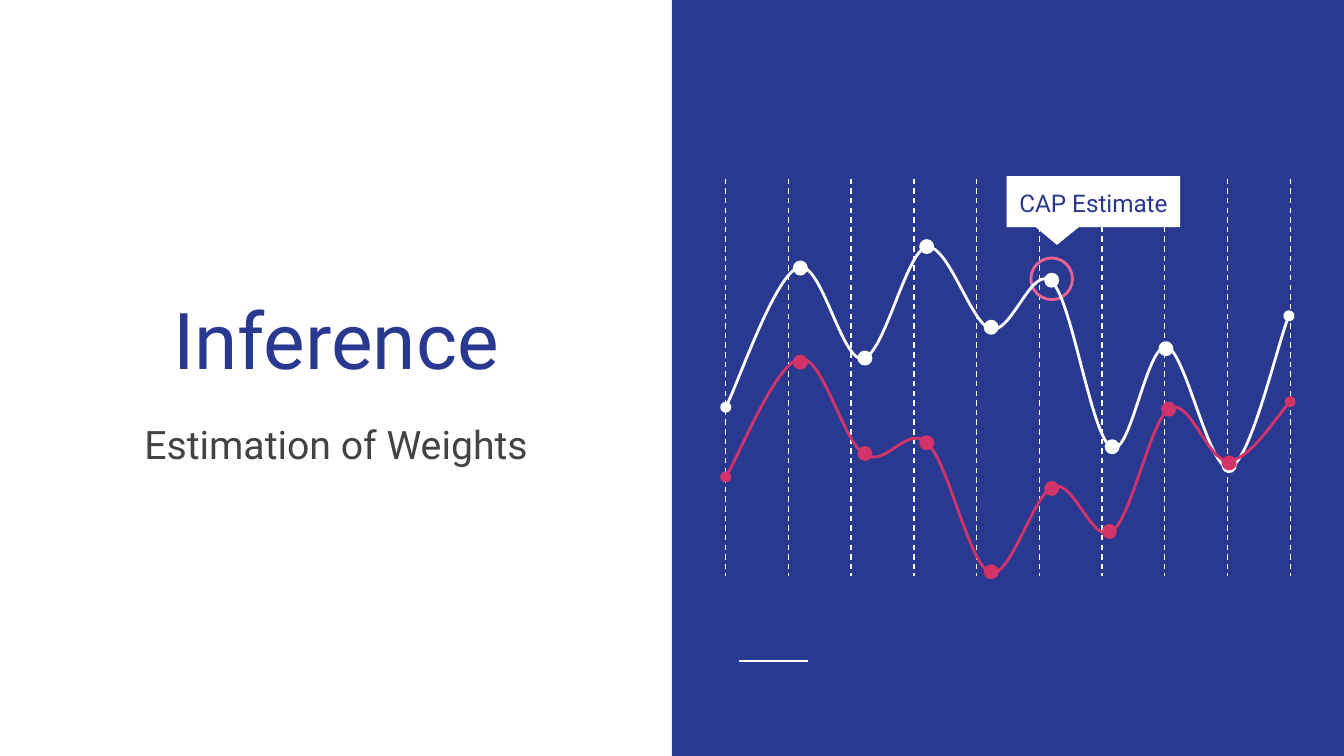
from dataclasses import dataclass

from lxml import etree
from pptx import Presentation
from pptx import util as u
from pptx.dml.color import RGBColor
from pptx.enum import dml, shapes, text
from pptx.oxml.ns import qn

WHITE = RGBColor(0xFF, 0xFF, 0xFF)
NAVY = RGBColor(0x2A, 0x39, 0x90)
RED = RGBColor(0xD2, 0x33, 0x69)
PINK = RGBColor(0xF0, 0x62, 0x92)
GREY = RGBColor(0x43, 0x43, 0x43)
FONT = "Roboto"
DOT = 0.09
LEFT, RIGHT, TOP, BASE, COUNT = 5.4, 9.6, 1.33, 4.29, 10

Point = tuple[float, float]
SHAPE = shapes.MSO_SHAPE
ANCHOR = text.MSO_ANCHOR


@dataclass
class Curve:
    """A start point, Bezier triples and the corners of the dots."""
    color: RGBColor
    start: Point
    bends: list[tuple[Point, Point, Point]]
    dots: list[Point]


@dataclass
class Label:
    words: str
    box: tuple[float, float, float, float]
    size: int
    color: RGBColor
    anchor: text.MSO_ANCHOR
    space: float = 1.0


UPPER = Curve(WHITE, (5.4, 3.03), [
    ((5.49, 2.86), (5.77, 2.05), (5.94, 1.99)),
    ((6.11, 1.93), (6.26, 2.69), (6.42, 2.67)),
    ((6.58, 2.64), (6.74, 1.88), (6.89, 1.84)),
    ((7.05, 1.8), (7.22, 2.4), (7.37, 2.45)),
    ((7.53, 2.49), (7.68, 1.95), (7.83, 2.1)),
    ((7.98, 2.25), (8.12, 3.25), (8.27, 3.33)),
    ((8.41, 3.41), (8.53, 2.56), (8.68, 2.58)),
    ((8.82, 2.61), (9, 3.52), (9.15, 3.48)),
    ((9.3, 3.44), (9.51, 2.54), (9.59, 2.35)),
], [(5.91, 1.95), (6.39, 2.62), (6.85, 1.79), (7.33, 2.39),
    (7.78, 2.04), (8.23, 3.28), (8.63, 2.55), (9.1, 3.42)])

LOWER = Curve(RED, (5.4, 3.55), [
    ((5.49, 3.41), (5.78, 2.7), (5.95, 2.67)),
    ((6.12, 2.64), (6.27, 3.28), (6.43, 3.38)),
    ((6.59, 3.49), (6.75, 3.15), (6.9, 3.3)),
    ((7.06, 3.44), (7.21, 4.21), (7.37, 4.26)),
    ((7.52, 4.31), (7.69, 3.67), (7.84, 3.62)),
    ((7.99, 3.57), (8.13, 4.05), (8.27, 3.96)),
    ((8.42, 3.86), (8.56, 3.13), (8.7, 3.04)),
    ((8.85, 2.95), (8.99, 3.44), (9.14, 3.43)),
    ((9.29, 3.43), (9.52, 3.07), (9.6, 2.99)),
], [(5.91, 2.65), (6.39, 3.33), (6.85, 3.25), (7.33, 4.21),
    (7.78, 3.59), (8.21, 3.91), (8.65, 3), (9.1, 3.4)])

LABELS = [
    Label("Inference", (0.29, 1.26, 4.42, 1.71), 42, NAVY, ANCHOR.BOTTOM),
    Label("Estimation of Weights", (0.29, 3.03, 4.42, 1.39), 21, GREY, ANCHOR.TOP),
    Label("CAP Estimate", (7.44, 1.34, 1.39, 0.31), 13, NAVY, ANCHOR.MIDDLE, 1.15),
]


def inch(size: float) -> u.Length:
    return u.Cm(size * 2.54)


def paint(shape, fill: RGBColor | None, line: RGBColor | None) -> None:
    shape.shadow.inherit = False
    if fill is None:
        shape.fill.background()
    else:
        shape.fill.solid()
        shape.fill.fore_color.rgb = fill
    if line is None:
        shape.line.fill.background()
    else:
        shape.line.color.rgb = line
        shape.line.width = u.Pt(1.5)


def add_form(slide, kind, box, fill=None, line=None):
    form = slide.shapes.add_shape(kind, *map(inch, box))
    paint(form, fill, line)
    return form


def add_line(slide, start: Point, end: Point, width: float, dash: bool = False) -> None:
    line = slide.shapes.add_connector(
        shapes.MSO_CONNECTOR.STRAIGHT, *map(inch, start + end))
    line.line.color.rgb = WHITE
    line.line.width = u.Pt(width)
    if dash:
        line.line.dash_style = dml.MSO_LINE.DASH
    etree.SubElement(line.element.spPr, qn("a:effectLst"))


def add_curve(slide, curve: Curve) -> None:
    """Draw a smooth line with round ends, then its dots."""
    spots = [tuple(map(inch, spot)) for bend in curve.bends for spot in bend]
    pen = slide.shapes.build_freeform(*map(inch, curve.start))
    pen.add_line_segments(spots, close=False)
    form = pen.convert_to_shape()
    paint(form, None, curve.color)

    # Each run of three line steps becomes one Bezier step.
    track = form.element.find(".//" + qn("a:path"))
    steps = track.findall(qn("a:lnTo"))
    for i in range(0, len(steps), 3):
        bend = etree.SubElement(track, qn("a:cubicBezTo"))
        for step in steps[i:i + 3]:
            bend.append(step[0])
            track.remove(step)

    line = form.line._get_or_add_ln()
    for end in ("a:headEnd", "a:tailEnd"):
        etree.SubElement(line, qn(end), type="oval")
    for x, y in curve.dots:
        add_form(slide, SHAPE.OVAL, (x, y, DOT, DOT), curve.color, curve.color)


def add_label(slide, label: Label) -> None:
    frame = slide.shapes.add_textbox(*map(inch, label.box)).text_frame
    frame.word_wrap = True
    frame.vertical_anchor = label.anchor
    frame.margin_left = frame.margin_right = inch(0.1)
    frame.margin_top = frame.margin_bottom = inch(0.1)
    para = frame.paragraphs[0]
    para.alignment = text.PP_ALIGN.CENTER
    para.line_spacing = label.space
    run = para.add_run()
    run.text = label.words
    run.font.name = FONT
    run.font.size = u.Pt(label.size)
    run.font.color.rgb = label.color


def main() -> None:
    deck = Presentation()
    deck.slide_width, deck.slide_height = u.Cm(25.4), u.Cm(14.29)
    slide = deck.slides.add_slide(deck.slide_layouts[6])

    add_form(slide, SHAPE.RECTANGLE, (5, 0, 5, 5.625), NAVY)
    add_line(slide, (5.5, 4.92), (6.01, 4.92), 1.5)
    for i in range(COUNT):
        x = LEFT + i * (RIGHT - LEFT) / (COUNT - 1)
        add_line(slide, (x, TOP), (x, BASE), 0.75, dash=True)
    add_form(slide, SHAPE.OVAL, (7.67, 1.92, 0.31, 0.31), line=PINK)

    add_curve(slide, UPPER)
    flag = add_form(slide, SHAPE.ROUNDED_RECTANGULAR_CALLOUT,
                    (7.49, 1.31, 1.29, 0.38), WHITE)
    for i, value in enumerate((-0.21, 0.85, 0)):
        flag.adjustments[i] = value
    add_curve(slide, LOWER)

    for label in LABELS:
        add_label(slide, label)
    deck.save("out.pptx")


if __name__ == "__main__":
    main()
